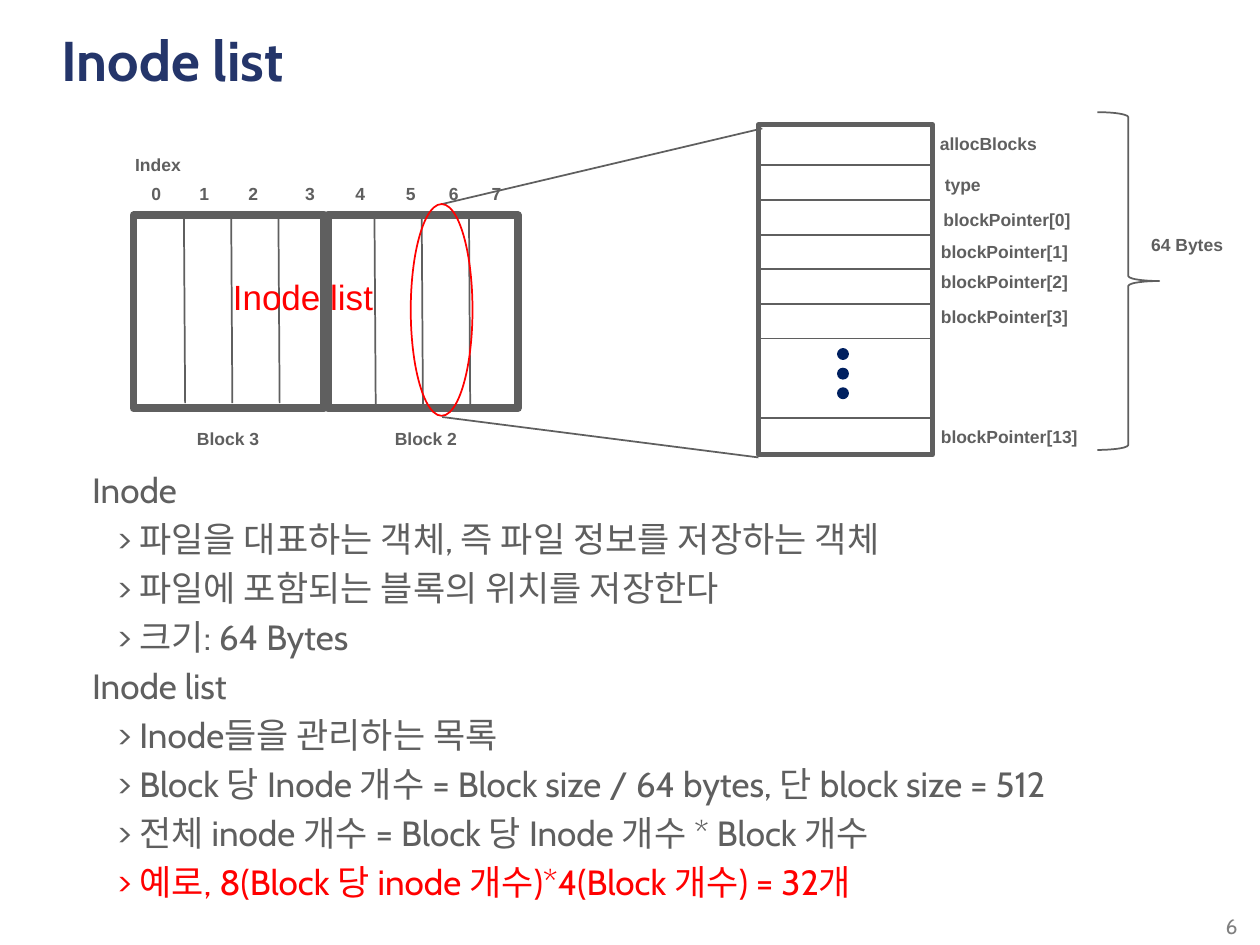
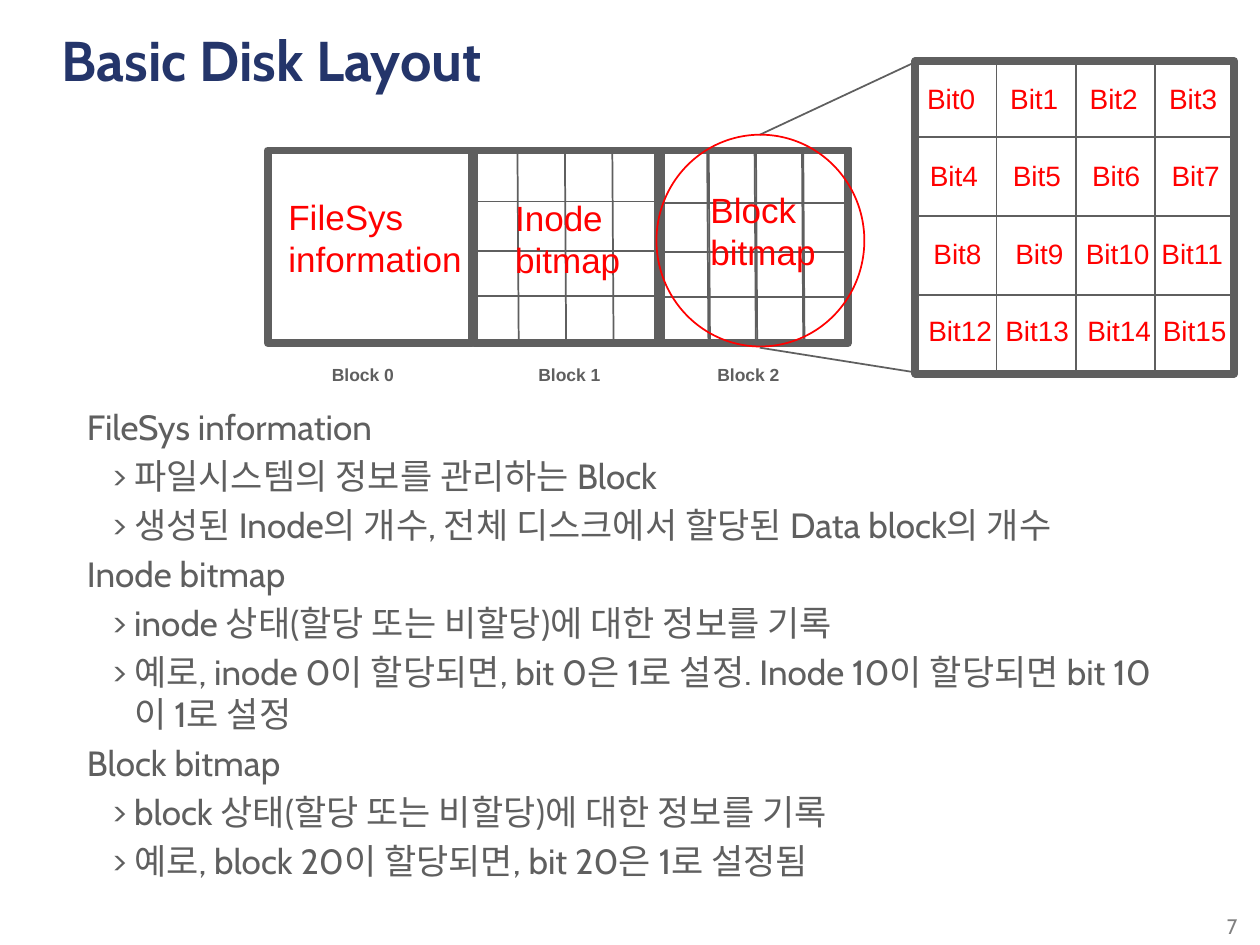
import pptx
import pptx.util
import pptx.dml.color
import pptx.enum.shapes
import pptx.enum.text
import pptx.oxml.xmlchemy

Pt = pptx.util.Pt
RGBColor = pptx.dml.color.RGBColor
Shape = pptx.enum.shapes.MSO_SHAPE
Line = pptx.enum.shapes.MSO_CONNECTOR
Anchor = pptx.enum.text.MSO_ANCHOR
Align = pptx.enum.text.PP_ALIGN
Fit = pptx.enum.text.MSO_AUTO_SIZE
Node = pptx.oxml.xmlchemy.OxmlElement

NAVY = RGBColor(0x24, 0x35, 0x6A)
GRAY = RGBColor(0x5F, 0x5F, 0x5F)
PALE = RGBColor(0x80, 0x80, 0x80)
RED = RGBColor(0xFF, 0x00, 0x00)
DARK = RGBColor(0x00, 0x20, 0x60)
HEAD = "Cabin"
BODY = "Arial"


class Deck:
    def __init__(self):
        self.file = pptx.Presentation()
        self.file.slide_width = Pt(720)
        self.file.slide_height = Pt(540)
        self.slide = None

    def page(self, title, number):
        self.slide = self.file.slides.add_slide(self.file.slide_layouts[1])
        holder = self.slide.shapes.title
        self.place(holder, 28, 10.8, 650, 60.5)
        frame = holder.text_frame
        frame.auto_size = Fit.NONE
        frame.vertical_anchor = Anchor.TOP
        frame.paragraphs[0].alignment = Align.LEFT
        self.run(frame.paragraphs[0], title, HEAD, 32, NAVY, True)
        box = self.slide.shapes.add_textbox(Pt(642.2), Pt(522), Pt(72), Pt(18))
        frame = box.text_frame
        frame.word_wrap = True
        frame.vertical_anchor = Anchor.BOTTOM
        frame.paragraphs[0].alignment = Align.RIGHT
        self.run(frame.paragraphs[0], str(number), HEAD, 12, PALE)

    def place(self, item, left, top, width, height):
        item.left, item.top = Pt(left), Pt(top)
        item.width, item.height = Pt(width), Pt(height)

    def run(self, para, text, font, size, color, bold=False):
        run = para.add_run()
        run.text = text
        run.font.name = font
        run.font.size = Pt(size)
        run.font.bold = bold
        run.font.color.rgb = color

    def list(self, left, top, height, items):
        holder = self.slide.placeholders[1]
        self.place(holder, left, top, 640.8, height)
        frame = holder.text_frame
        frame.auto_size = Fit.NONE
        for order, (level, text, color) in enumerate(items):
            para = frame.add_paragraph() if order else frame.paragraphs[0]
            para.level = level
            self.run(para, text, HEAD, 20, color)
            self.mark(para, level)

    def mark(self, para, level):
        props = para._p.get_or_add_pPr()
        props.set("marL", str(int(Pt(27 * level))))
        props.set("indent", str(int(Pt(-12.5 * level))))
        if level:
            font = Node("a:buFont")
            font.set("typeface", HEAD)
            mark = Node("a:buChar")
            mark.set("char", ">")
            props.extend([font, mark])
        else:
            props.append(Node("a:buNone"))

    def text(self, lines, left, top, width, size, color, bold=False, align=Align.LEFT):
        height = 7.2 + 1.2 * size * len(lines)
        box = self.slide.shapes.add_textbox(Pt(left), Pt(top), Pt(width), Pt(height))
        frame = box.text_frame
        frame.word_wrap = False
        frame.auto_size = Fit.SHAPE_TO_FIT_TEXT
        for order, line in enumerate(lines):
            para = frame.add_paragraph() if order else frame.paragraphs[0]
            para.alignment = align
            self.run(para, line, BODY, size, color, bold)

    def label(self, text, left, top, width, align=Align.CENTER):
        self.text([text], left, top, width, 10, GRAY, True, align)

    def shape(self, kind, left, top, width, height, color=GRAY, weight=1, fill=None):
        item = self.slide.shapes.add_shape(kind, Pt(left), Pt(top), Pt(width), Pt(height))
        item.shadow.inherit = False
        item.line.color.rgb = color
        item.line.width = Pt(weight)
        if fill is None:
            item.fill.background()
        else:
            item.fill.solid()
            item.fill.fore_color.rgb = fill
        return item

    def line(self, x1, y1, x2, y2):
        item = self.slide.shapes.add_connector(
            Line.STRAIGHT, Pt(x1), Pt(y1), Pt(x2), Pt(y2))
        item.line.color.rgb = GRAY
        item.line.width = Pt(1)
        item._element.spPr.append(Node("a:effectLst"))

    def uprights(self, left, step, count, top, base, lean=0.7):
        for i in range(count):
            x = left + i * step
            self.line(x, base, x - lean, top)

    def levels(self, left, right, tops):
        for y in tops:
            self.line(left, y, right, y)


def inodes(deck):
    deck.page("Inode list", 6)
    deck.label("Index", 69.8, 84.2, 41)
    lefts = (79.2, 106.6, 134.6, 167, 195.8, 224.6, 249.1, 273.6)
    for index, left in enumerate(lefts):
        deck.label(str(index), left, 101, 20.2)
    deck.uprights(105.8, 27, 4, 121, 230.4)
    deck.uprights(214.7, 27, 3, 123.8, 232.6)
    for left in (76.3, 187.2):
        deck.shape(Shape.RECTANGLE, left, 123.1, 108.7, 110.2, GRAY, 4.5)
    deck.label("Block 3", 105.1, 241.2, 50.4)
    deck.label("Block 2", 218.2, 241.2, 50.4)
    deck.text(["Inode list"], 126, 154.1, 98.6, 20, RED)

    deck.line(252.7, 116.6, 435.6, 73.4)
    deck.shape(Shape.OVAL, 234.7, 116.6, 35.3, 121, RED)
    deck.line(252.7, 238.3, 433.4, 261.4)

    deck.shape(Shape.RECTANGLE, 433.4, 71.3, 99.4, 188.6, GRAY, 3)
    deck.levels(434.5, 532, [94.5 + 19.8 * i for i in range(6)] + [239])
    for i in range(3):
        deck.shape(Shape.OVAL, 478.8, 199.4 + 11.2 * i, 5.8, 5.8, DARK, 1, DARK)
    fields = (
        ("allocBlocks", 530, 72.7, 70.6),
        ("type", 532.8, 95.8, 35.3),
        ("blockPointer[0]", 532, 115.9, 87.8),
        ("blockPointer[1]", 530.6, 133.9, 87.8),
        ("blockPointer[2]", 530.6, 151.2, 87.8),
        ("blockPointer[3]", 530.6, 171.4, 87.8),
        ("blockPointer[13]", 530.6, 239.8, 93.6),
    )
    for name, left, top, width in fields:
        deck.label(name, left, top, width, Align.LEFT)
    brace = deck.shape(Shape.RIGHT_BRACE, 627.1, 64.1, 35.3, 193)
    brace.adjustments[0] = 0.08
    brace.adjustments[1] = 0.5
    deck.label("64 Bytes", 650.2, 130.3, 56.2)

    deck.list(45.4, 264.2, 250.6, (
        (0, "Inode", GRAY),
        (1, "파일을 대표하는 객체, 즉 파일 정보를 저장하는 객체", GRAY),
        (1, "파일에 포함되는 블록의 위치를 저장한다", GRAY),
        (1, "크기: 64 Bytes", GRAY),
        (0, "Inode list", GRAY),
        (1, "Inode들을 관리하는 목록", GRAY),
        (1, "Block 당 Inode 개수 = Block size / 64 bytes, 단 block size = 512", GRAY),
        (1, "전체 inode 개수 = Block 당 Inode 개수 * Block 개수", GRAY),
        (1, "예로, 8(Block 당 inode 개수)*4(Block 개수) = 32개", RED),
    ))


def layout(deck):
    deck.page("Basic Disk Layout", 7)
    deck.shape(Shape.RECTANGLE, 153, 84.6, 333.4, 109.4)
    deck.uprights(269.3, 27.1, 8, 84.2, 193.7)
    deck.uprights(378.7, 27, 4, 85, 193.7)
    for left, width in ((153, 116.6), (270.7, 107.3), (375.8, 108.7)):
        deck.shape(Shape.RECTANGLE, left, 86, width, 110.2, GRAY, 4.5)
    for index, left in enumerate((182.2, 300.2, 402.5)):
        deck.label(f"Block {index}", left, 204.3, 50.4)
    rows = (115.2, 143.3, 169.2)
    deck.levels(271, 375, rows)
    deck.levels(379, 482.5, [y + 0.7 for y in rows])
    deck.text(["Inode", "bitmap"], 287.3, 108.7, 74.9, 20, RED)
    deck.text(["Block", "bitmap"], 398.9, 104.4, 74.9, 20, RED)
    deck.text(["FileSys", "information"], 157.7, 108, 114.5, 20, RED)

    deck.shape(Shape.RECTANGLE, 523.1, 34.9, 182.2, 178.6, GRAY, 4.5)
    deck.uprights(569.5, 45.2, 3, 35, 213.8, 0)
    deck.levels(522, 704, [78.5 + 45 * i for i in range(3)])
    deck.line(434.2, 77, 524.9, 34.6)
    deck.shape(Shape.OVAL, 375.1, 77, 118.8, 121, RED)
    deck.line(434.2, 198.7, 524.9, 213.1)
    bits = (
        (522.7, 570.2, 615.6, 661),
        (524.2, 571.7, 617, 662.4),
        (526.3, 573.1, 613.4, 656.6),
        (523.4, 567.4, 614.2, 657.4),
    )
    for row, lefts in enumerate(bits):
        for col, left in enumerate(lefts):
            bit = 4 * row + col
            width = 42.5 if bit < 10 else 51.1
            deck.text([f"Bit{bit}"], left, 43 + 44.2 * row, width, 16, RED)

    deck.list(42.5, 228.2, 234.7, [(level, text, GRAY) for level, text in (
        (0, "FileSys information"),
        (1, "파일시스템의 정보를 관리하는 Block"),
        (1, "생성된 Inode의 개수, 전체 디스크에서 할당된 Data block의 개수"),
        (0, "Inode bitmap"),
        (1, "inode 상태(할당 또는 비할당)에 대한 정보를 기록"),
        (1, "예로, inode 0이 할당되면, bit 0은 1로 설정. Inode 10이 할당되면 bit 10이 1로 설정"),
        (0, "Block bitmap"),
        (1, "block 상태(할당 또는 비할당)에 대한 정보를 기록"),
        (1, "예로, block 20이 할당되면, bit 20은 1로 설정됨"),
    )])


def main():
    deck = Deck()
    inodes(deck)
    layout(deck)
    deck.file.save("out.pptx")


if __name__ == "__main__":
    main()
